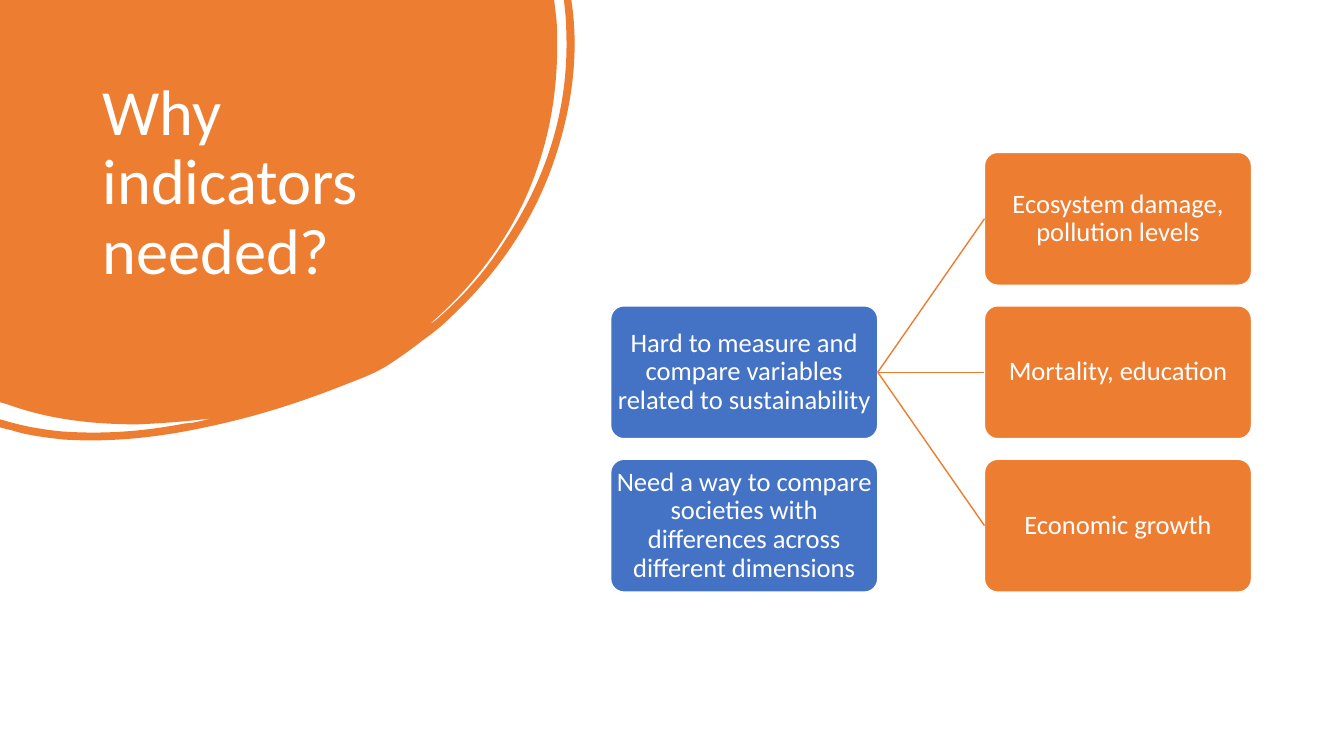
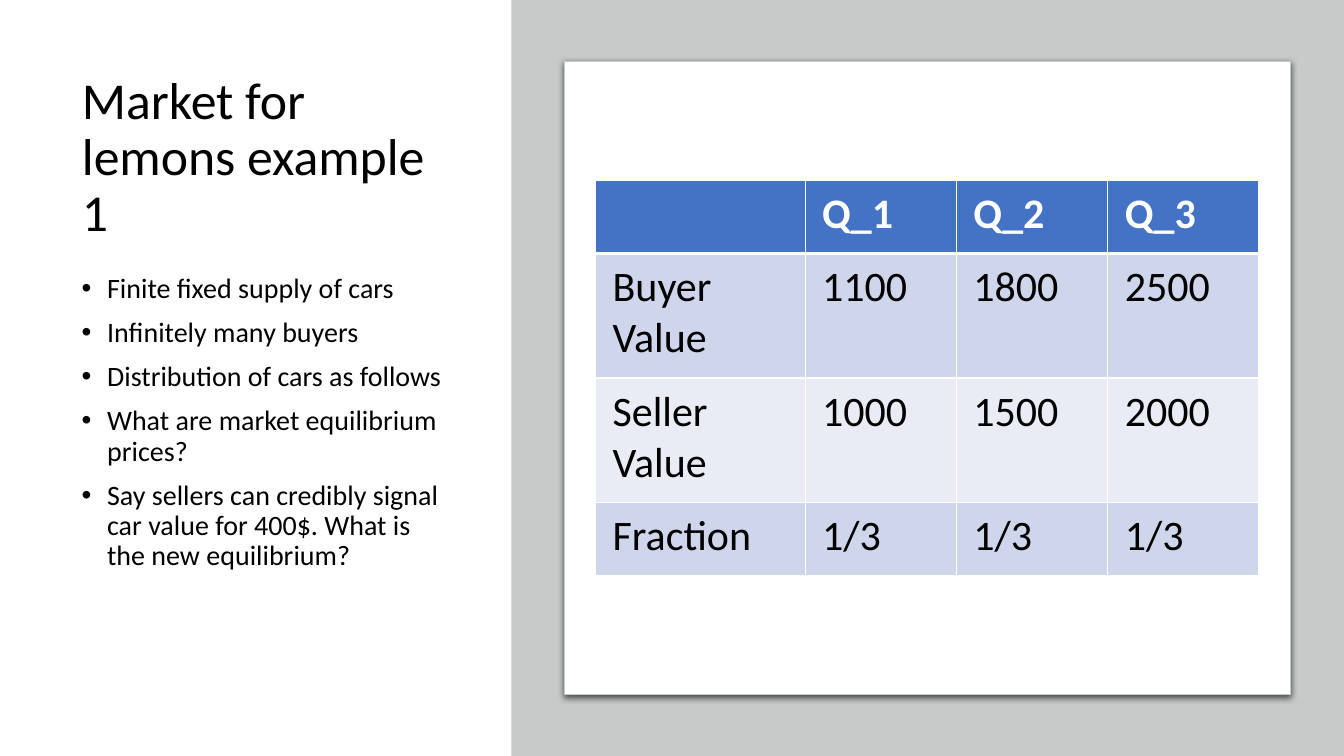
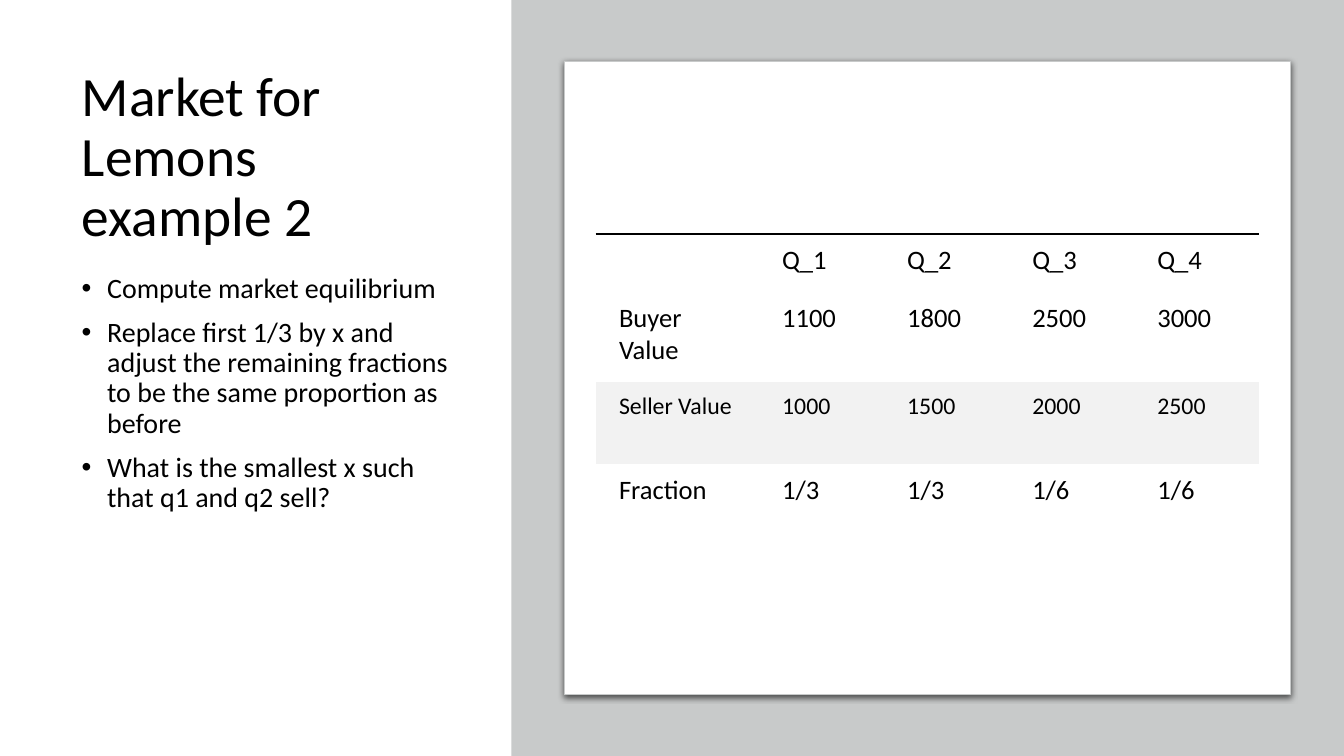
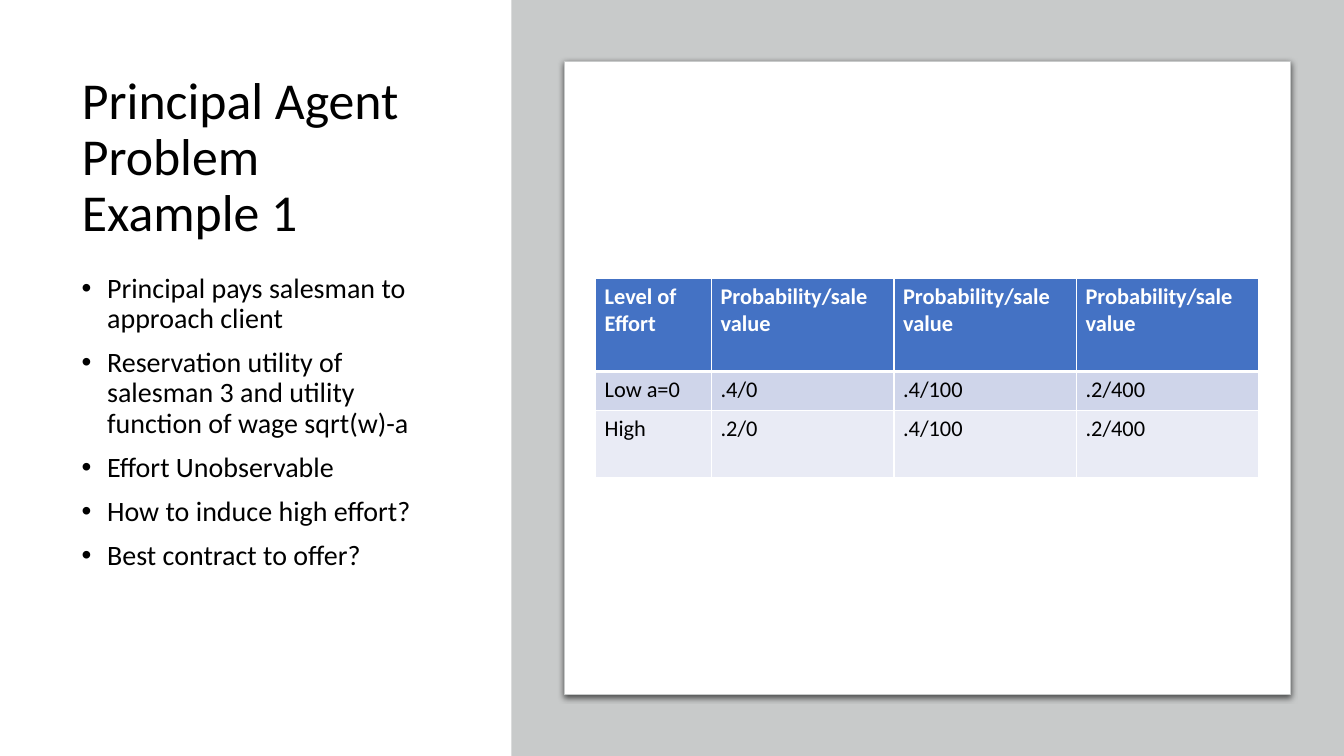
from dataclasses import dataclass, field

from lxml import etree
from pptx import Presentation
from pptx.dml.color import RGBColor
from pptx.enum.shapes import MSO_CONNECTOR, MSO_SHAPE
from pptx.enum.text import MSO_ANCHOR, MSO_AUTO_SIZE, PP_ALIGN
from pptx.oxml.ns import qn
from pptx.util import Cm, Pt

LEFT, CENTER = PP_ALIGN.LEFT, PP_ALIGN.CENTER
TOP, MIDDLE = MSO_ANCHOR.TOP, MSO_ANCHOR.MIDDLE
NO_FIT = MSO_AUTO_SIZE.NONE
RECTANGLE, ROUNDED = MSO_SHAPE.RECTANGLE, MSO_SHAPE.ROUNDED_RECTANGLE
STRAIGHT = MSO_CONNECTOR.STRAIGHT
SIDE_LEFT, SIDE_RIGHT = 1, 3

BLACK = RGBColor(0x00, 0x00, 0x00)
WHITE = RGBColor(0xFF, 0xFF, 0xFF)
ORANGE = RGBColor(0xED, 0x7D, 0x31)
BLUE = RGBColor(0x44, 0x72, 0xC4)
GRAY = RGBColor(0xC8, 0xCA, 0xCA)
BAND_DARK = RGBColor(0xCF, 0xD5, 0xEA)
BAND_LIGHT = RGBColor(0xE9, 0xEB, 0xF5)
PALE = RGBColor(0xF2, 0xF2, 0xF2)

FONT = "Calibri"
TITLE_ONLY = 5
TITLE_FRAME = {"word_wrap": True, "auto_size": NO_FIT}
TITLE_PARA = {"alignment": LEFT, "line_spacing": 0.9}
BULLET_PARA = {"alignment": LEFT, "line_spacing": 0.9, "space_before": Pt(10)}
CARD_PARA = {"alignment": CENTER, "line_spacing": 0.9}
CARD_FRAME = {"word_wrap": True, "vertical_anchor": MIDDLE,
              "margin_left": Cm(0.03), "margin_right": Cm(0.03),
              "margin_top": Cm(0.03), "margin_bottom": Cm(0.03)}


@dataclass
class Box:
    """A region of the slide, in centimetres."""
    left: float
    top: float
    width: float
    height: float

    def lengths(self):
        """Return left, top, width and height as lengths."""
        return Cm(self.left), Cm(self.top), Cm(self.width), Cm(self.height)


@dataclass
class TableLook:
    """Fills, text and rules of one kind of table; rules are keyed by line number."""
    fills: tuple
    sizes: tuple
    margin_x: float
    margin_y: float
    grid: tuple = None
    rules: dict = field(default_factory=dict)
    header_color: RGBColor = BLACK
    header_bold: bool = False


PAGE = Box(0, 0, 33.87, 19.05)
BLOB = Box(0, 0, 14.5, 11.1)
BLOB_TITLE = Box(2.33, 1.88, 8.94, 5.64)
CARDS = Box(15.39, 3.84, 16.15, 11.08)
SIDE_TITLE = Box(1.81, 1.75, 9.73, 4.5)
SIDE_BODY = Box(1.81, 6.78, 9.73, 10.52)
SIDE_BAND = Box(12.89, 0, 20.98, 19.05)
PANEL = Box(14.22, 1.55, 18.3, 15.95)
TABLE_WIDTH = 16.72

BLOB_GRID = (571, 437)
BLOB_OUTLINE = [
    (0, 0), (550, 0), (552, 17),
    (553, 26, 553, 36, 553, 45), (553, 101, 542, 154, 518, 204),
    (496, 249, 465, 288, 427, 321), (429, 321, 430, 319, 432, 318),
    (459, 295, 482, 269, 501, 239), (543, 176, 565, 107, 562, 30),
    (562, 21, 561, 12, 560, 3), (560, 0), (567, 0), (568, 7),
    (574, 54, 568, 102, 553, 150), (533, 214, 497, 268, 448, 314),
    (439, 323, 429, 331, 419, 338), (409, 346, 399, 353, 387, 361),
    (375, 369, 360, 375, 344, 381), (299, 399, 252, 414, 203, 424),
    (157, 434, 110, 439, 63, 436), (45, 434, 28, 432, 12, 427),
    (0, 424), (0, 416), (4, 417),
    (23, 423, 42, 426, 61, 428), (103, 431, 143, 428, 184, 420),
    (189, 420, 193, 419, 198, 418), (202, 417, 206, 416, 210, 415),
    (186, 418, 161, 420, 136, 421), (92, 421, 48, 416, 7, 401), (0, 399),
]

CAUSES = ["Hard to measure and compare variables related to sustainability",
          "Need a way to compare societies with differences across different dimensions"]
EFFECTS = ["Ecosystem damage, pollution levels", "Mortality, education", "Economic growth"]

THIN, THICK = (WHITE, 1), (WHITE, 3)
LARGE_LOOK = TableLook((BLUE, BAND_DARK, BAND_LIGHT, BAND_DARK), (30,) * 4, 0.43, 0.21,
                       THIN, {1: THICK}, WHITE, True)
PLAIN_LOOK = TableLook((WHITE, WHITE, PALE, WHITE), (19, 19, 17, 19), 0.59, 0.25,
                       rules={0: (BLACK, 2.25)})
SMALL_LOOK = TableLook((BLUE, BAND_DARK, BAND_LIGHT), (16,) * 3, 0.23, 0.11,
                       THIN, {1: THICK}, WHITE, True)

EXAMPLES = [
    {"title": "Market for lemons example 1", "size": 37,
     "bullets": ["Finite fixed supply of cars", "Infinitely many buyers",
                 "Distribution of cars as follows", "What are market equilibrium prices?",
                 "Say sellers can credibly signal car value for 400$. "
                 "What is the new equilibrium?"],
     "rows": [["", "Q_1", "Q_2", "Q_3"],
              ["Buyer Value", "1100", "1800", "2500"],
              ["Seller Value", "1000", "1500", "2000"],
              ["Fraction", "1/3", "1/3", "1/3"]],
     "heights": [1.84, 3.14, 3.14, 1.84], "first_width": 5.28, "look": LARGE_LOOK},
    {"title": "Market for Lemons example 2", "size": 39.6,
     "bullets": ["Compute market equilibrium",
                 "Replace first 1/3 by x and adjust the remaining fractions "
                 "to be the same proportion as before",
                 "What is the smallest x such that q1 and q2 sell?"],
     "rows": [["", "Q_1", "Q_2", "Q_3", "Q_4"],
              ["Buyer Value", "1100", "1800", "2500", "3000"],
              ["Seller Value", "1000", "1500", "2000", "2500"],
              ["Fraction", "1/3", "1/3", "1/6", "1/6"]],
     "heights": [1.46, 2.28, 2.06, 1.46], "first_width": 4.11, "look": PLAIN_LOOK},
    {"title": "Principal Agent Problem Example 1", "size": 37,
     "bullets": ["Principal pays salesman to approach client",
                 "Reservation utility of salesman 3 and utility function of wage sqrt(w)-a",
                 "Effort Unobservable", "How to induce high effort?",
                 "Best contract to offer?"],
     "rows": [["Level of Effort"] + ["Probability/sale value"] * 3,
              ["Low a=0", ".4/0", ".4/100", ".2/400"],
              ["High", ".2/0", ".4/100", ".2/400"]],
     "heights": [2.34, 0.99, 1.68], "first_width": 2.92, "look": SMALL_LOOK},
]


def apply_format(target, values):
    """Set each named attribute on the target."""
    for name, value in values.items():
        setattr(target, name, value)


def write_para(para, text, size, color, values, bold=False):
    """Put one formatted run into a paragraph."""
    apply_format(para, values)
    span = para.add_run()
    span.text = text
    apply_format(span.font, {"name": FONT, "size": Pt(size), "bold": bold})
    span.font.color.rgb = color


def paint(shape, fill, line=None, width=1):
    """Give a shape a flat fill and an optional outline."""
    shape.shadow.inherit = False
    shape.fill.solid()
    shape.fill.fore_color.rgb = fill
    if line is None:
        shape.line.fill.background()
    else:
        shape.line.color.rgb = line
        shape.line.width = Pt(width)


def place_title(page, box, text, size, color, anchor):
    """Move and format the title placeholder."""
    title = page.shapes.title
    title.left, title.top, title.width, title.height = box.lengths()
    apply_format(title.text_frame, {**TITLE_FRAME, "vertical_anchor": anchor})
    write_para(title.text_frame.paragraphs[0], text, size, color, TITLE_PARA)


def scale_part(box, part):
    """Turn one outline part from grid units into points on the slide."""
    return [(Cm(box.left + box.width * x / BLOB_GRID[0]),
             Cm(box.top + box.height * y / BLOB_GRID[1]))
            for x, y in zip(part[::2], part[1::2])]


def bend_line(segment, shape, points):
    """Turn a straight outline segment into a cubic curve."""
    segment.tag = qn("a:cubicBezTo")
    for point in list(segment):
        segment.remove(point)
    for x, y in points:
        etree.SubElement(segment, qn("a:pt"), x=str(x - shape.left), y=str(y - shape.top))


def draw_blob(page, box):
    """Draw the rounded title backdrop with its rim behind the title."""
    parts = [scale_part(box, part) for part in BLOB_OUTLINE]
    ends = [part[-1] for part in parts]
    builder = page.shapes.build_freeform(*ends[0], scale=1.0)
    builder.add_line_segments(ends[1:], close=True)
    blob = builder.convert_to_shape()
    segments = list(blob._element.iter(qn("a:lnTo")))
    for segment, points in zip(segments, parts[1:]):
        if len(points) == 3:
            bend_line(segment, blob, points)
    paint(blob, ORANGE)
    page.shapes.title._element.addprevious(blob._element)


def draw_card(page, box, text, fill):
    """Draw one rounded card with centred text."""
    card = page.shapes.add_shape(ROUNDED, *box.lengths())
    card.adjustments[0] = 0.1
    paint(card, fill, WHITE)
    apply_format(card.text_frame, CARD_FRAME)
    write_para(card.text_frame.paragraphs[0], text, 19, WHITE, CARD_PARA)
    return card


def draw_cards(page, box):
    """Draw causes on the left, effects on the right, and the links between."""
    width, gap = 6.73, 0.52
    height = (box.height - 2 * gap) / 3
    right = box.left + box.width - width
    tops = [box.top + row * (height + gap) for row in range(3)]
    causes = [draw_card(page, Box(box.left, top, width, height), text, BLUE)
              for top, text in zip(tops[1:], CAUSES)]
    effects = [draw_card(page, Box(right, top, width, height), text, ORANGE)
               for top, text in zip(tops, EFFECTS)]
    for effect in effects:
        link = page.shapes.add_connector(STRAIGHT, 0, 0, 0, 0)
        link.begin_connect(causes[0], SIDE_RIGHT)
        link.end_connect(effect, SIDE_LEFT)
        link.line.color.rgb = ORANGE
        link.line.width = Pt(1)
        etree.SubElement(link._element.spPr, qn("a:effectLst"))


def draw_bullets(page, box, lines):
    """Write a bulleted list."""
    frame = page.shapes.add_textbox(*box.lengths()).text_frame
    frame.word_wrap = True
    for index, line in enumerate(lines):
        para = frame.add_paragraph() if index else frame.paragraphs[0]
        write_para(para, line, 20, BLACK, BULLET_PARA)
        props = para._p.get_or_add_pPr()
        props.set("marL", str(Cm(0.64)))
        props.set("indent", str(-Cm(0.64)))
        etree.SubElement(props, qn("a:buFont"), typeface="Arial")
        etree.SubElement(props, qn("a:buChar"), char="•")


def draw_panel(page, band_box, panel_box):
    """Draw the gray band and the white panel with a soft shadow."""
    band = page.shapes.add_shape(RECTANGLE, *band_box.lengths())
    paint(band, GRAY)
    panel = page.shapes.add_shape(ROUNDED, *panel_box.lengths())
    panel.adjustments[0] = 0
    paint(panel, WHITE, GRAY, 0.75)
    effects = panel._element.spPr.find(qn("a:effectLst"))
    shadow = etree.SubElement(effects, qn("a:outerShdw"), blurRad=str(Pt(4.5)),
                              dist=str(Pt(1.5)), dir="5400000", algn="t", rotWithShape="0")
    color = etree.SubElement(shadow, qn("a:srgbClr"), val=str(BLACK))
    etree.SubElement(color, qn("a:alpha"), val="63000")


def set_border(cell, side, rule):
    """Set one border of a cell, or hide it when there is no rule."""
    props = cell._tc.get_or_add_tcPr()
    line = etree.SubElement(props, qn("a:ln" + side))
    if rule is None:
        line.set("w", "0")
        etree.SubElement(line, qn("a:noFill"))
        return
    color, width = rule
    line.set("w", str(Pt(width)))
    fill = etree.SubElement(line, qn("a:solidFill"))
    etree.SubElement(fill, qn("a:srgbClr"), val=str(color))


def fill_cell(cell, text, row, look):
    """Write and format one table cell."""
    apply_format(cell, {"margin_left": Cm(look.margin_x), "margin_right": Cm(look.margin_x),
                        "margin_top": Cm(look.margin_y), "margin_bottom": Cm(look.margin_y)})
    borders = {"L": look.grid, "R": look.grid, "T": look.rules.get(row, look.grid),
               "B": look.rules.get(row + 1, look.grid)}
    for side, rule in borders.items():
        set_border(cell, side, rule)
    cell.fill.solid()
    cell.fill.fore_color.rgb = look.fills[row]
    if text:
        color = BLACK if row else look.header_color
        write_para(cell.text_frame.paragraphs[0], text, look.sizes[row], color,
                   {"alignment": LEFT}, look.header_bold and row == 0)


def draw_table(page, box, rows, heights, first_width, look):
    """Draw a table centred in the box; columns after the first share the rest."""
    height = sum(heights)
    place = Box(box.left + (box.width - TABLE_WIDTH) / 2,
                box.top + (box.height - height) / 2, TABLE_WIDTH, height)
    count = len(rows[0])
    table = page.shapes.add_table(len(rows), count, *place.lengths()).table
    apply_format(table, {"first_row": False, "horz_banding": False})
    rest = (TABLE_WIDTH - first_width) / (count - 1)
    for index, column in enumerate(table.columns):
        column.width = Cm(rest if index else first_width)
    for row, texts in enumerate(rows):
        table.rows[row].height = Cm(heights[row])
        for index, text in enumerate(texts):
            fill_cell(table.cell(row, index), text, row, look)


def add_page(deck):
    """Add a title-only slide."""
    return deck.slides.add_slide(deck.slide_layouts[TITLE_ONLY])


def build_indicators(deck):
    """Build the slide on why indicators are needed."""
    page = add_page(deck)
    place_title(page, BLOB_TITLE, "Why indicators needed?", 46, WHITE, TOP)
    draw_blob(page, BLOB)
    draw_cards(page, CARDS)


def build_example(deck, example):
    """Build a slide with notes on the left and a table on the right."""
    page = add_page(deck)
    place_title(page, SIDE_TITLE, example["title"], example["size"], BLACK, MIDDLE)
    draw_bullets(page, SIDE_BODY, example["bullets"])
    draw_panel(page, SIDE_BAND, PANEL)
    draw_table(page, PANEL, example["rows"], example["heights"],
               example["first_width"], example["look"])


def main():
    """Build and save the deck."""
    deck = Presentation()
    deck.slide_width, deck.slide_height = Cm(PAGE.width), Cm(PAGE.height)
    build_indicators(deck)
    for example in EXAMPLES:
        build_example(deck, example)
    deck.save("out.pptx")


if __name__ == "__main__":
    main()
